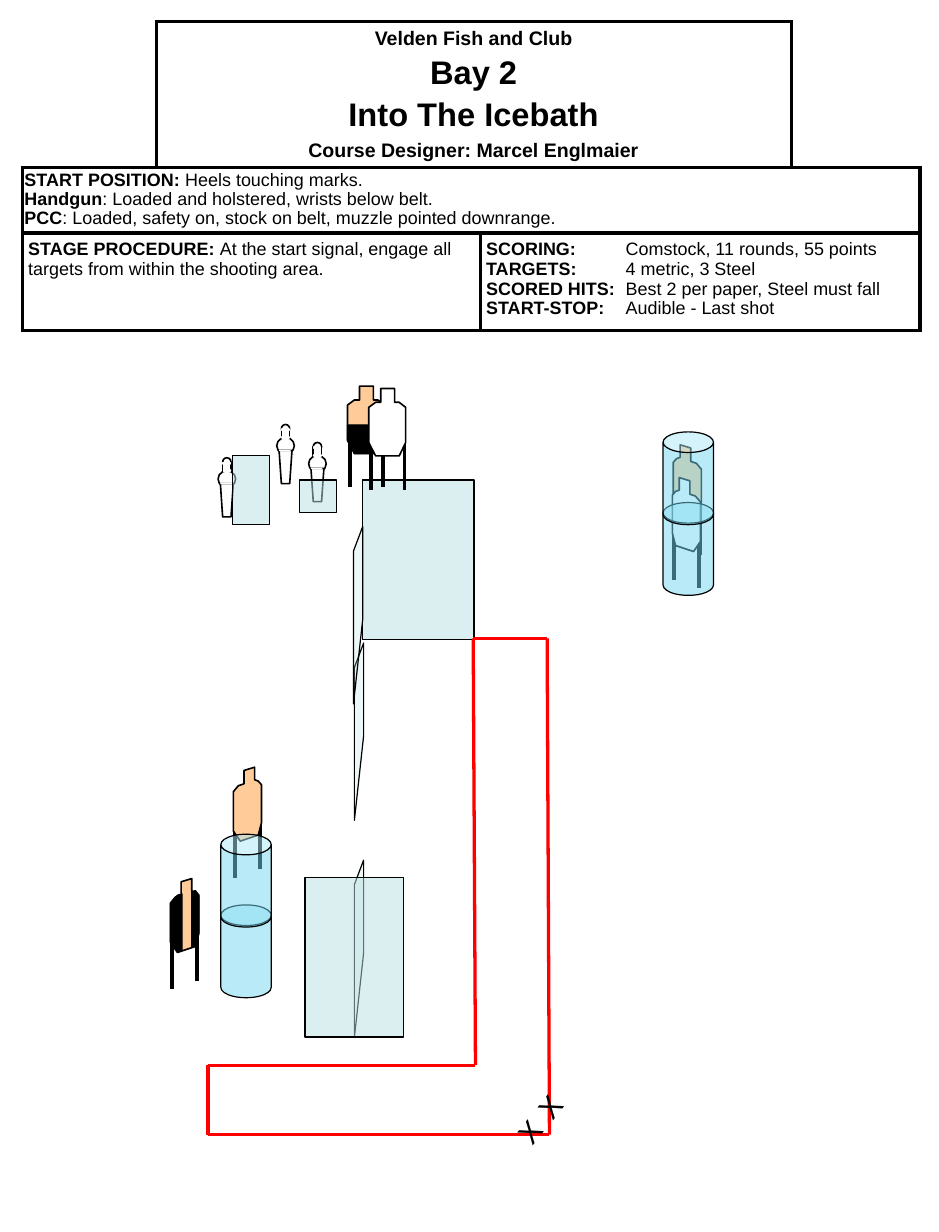
from dataclasses import dataclass

from lxml import etree
from pptx import Presentation
from pptx.dml.color import RGBColor
from pptx.enum.shapes import MSO_CONNECTOR, MSO_SHAPE
from pptx.enum.text import MSO_ANCHOR, PP_ALIGN
from pptx.oxml.ns import qn
from pptx.util import Cm, Pt

STRAIGHT = MSO_CONNECTOR.STRAIGHT
RECT, OVAL, CAN = MSO_SHAPE.RECTANGLE, MSO_SHAPE.OVAL, MSO_SHAPE.CAN
CENTER, LEFT = PP_ALIGN.CENTER, PP_ALIGN.LEFT
MIDDLE, TOP = MSO_ANCHOR.MIDDLE, MSO_ANCHOR.TOP


@dataclass(frozen=True)
class Theme:
    font: str = "Arial"
    black: str = "000000"
    white: str = "FFFFFF"
    red: str = "FF0000"
    tan: str = "FFCC99"
    glass: str = "BBE0E3"
    barrel: str = "73D9F1"
    title: float = 20
    mark: float = 18
    subtitle: float = 12
    body: float = 11
    border: float = 2.25
    fault: float = 2
    outline: float = 1
    thin: float = 0.75


T = Theme()

# Outlines in cm, relative to the top left corner of each target
SLANTED_WIDTH = 0.61
SLANTED = [(0.23, 0.07), (0.46, 0), (0.46, 0.27), (0.54, 0.3), (0.61, 0.38), (0.61, 1.2),
           (0.54, 1.47), (0.15, 1.6), (0, 1.38), (0, 0.53), (0.11, 0.4), (0.23, 0.36)]
SLANTED_LEGS = [(0.03, 1.29), (0.58, 1.11)]
HARD_COVER_SIDES = [
    [(0, 1.35), (0.15, 1.58), (0.25, 1.55), (0.25, 0.33), (0.15, 0.36), (0, 0.53)],
    [(0.46, 0.28), (0.54, 0.26), (0.62, 0.36), (0.62, 1.17), (0.55, 1.43), (0.46, 1.47)]]
UPRIGHT = [(0.26, 0), (0.56, 0), (0.56, 0.3), (0.66, 0.3), (0.8, 0.41), (0.8, 1.17),
           (0.66, 1.46), (0.15, 1.46), (0, 1.17), (0, 0.41), (0.15, 0.3), (0.26, 0.3)]
UPRIGHT_LEGS = [(0.05, 1.09), (0.77, 1.09)]
HARD_COVER_BASE = [(0, 0.84), (0.8, 0.84), (0.8, 1.17), (0.64, 1.46), (0.15, 1.46), (0, 1.17)]
LEG_LENGTH = 1.1
POPPER_BODY = [(0.05, 0.56), (0.33, 0.56), (0.28, 1.28), (0.1, 1.28)]
WALL = [(0.2, 2.01), (0, 3.84), (0, 0.53), (0.2, 0)]
SHOOTING_AREA = [(10.24, 13.82), (11.84, 13.82), (11.89, 24.56),
                 (4.5, 24.56), (4.5, 23.06), (10.29, 23.06)]

HEADER = [[("Velden Fish and Club", True, T.subtitle)], [("Bay 2", True, T.title)],
          [("Into The Icebath", True, T.title)],
          [("Course Designer: Marcel Englmaier", True, T.subtitle)]]
START = [[("START POSITION: ", True), ("Heels touching marks.", False)],
         [("Handgun", True), (": Loaded and holstered, wrists below belt.", False)],
         [("PCC", True),
          (": Loaded, safety on, stock on belt, muzzle pointed downrange.", False)]]
PROCEDURE = [[("STAGE PROCEDURE: ", True),
              ("At the start signal, engage all targets from within the shooting area.", False)]]
SCORING = [[(label, True), ("\t" + value, False)] for label, value in (
    ("SCORING:", "Comstock, 11 rounds, 55 points"), ("TARGETS:", "4 metric, 3 Steel"),
    ("SCORED HITS:", "Best 2 per paper, Steel must fall"),
    ("START-STOP:", "Audible - Last shot"))]


def rgb(value):
    return RGBColor.from_string(value)


def set_all(obj, **values):
    for name, value in values.items():
        setattr(obj, name, value)


def add_run(p, text, bold=False, size=T.body):
    r = p.add_run()
    r.text = text
    set_all(r.font, name=T.font, size=Pt(size), bold=bold)
    r.font.color.rgb = rgb(T.black)


def paint(sp, fill, line=T.black, width=T.outline, opacity=None):
    sp.shadow.inherit = False
    sp.fill.solid()
    sp.fill.fore_color.rgb = rgb(fill)
    if opacity:
        color = sp._element.spPr.find(qn("a:solidFill")).find(qn("a:srgbClr"))
        etree.SubElement(color, qn("a:alpha"), val=str(opacity * 1000))
    if line:
        sp.line.color.rgb = rgb(line)
        sp.line.width = Pt(width)
    else:
        sp.line.fill.background()


def add_preset(shapes, kind, x, y, w, h, **look):
    sp = shapes.add_shape(kind, Cm(x), Cm(y), Cm(w), Cm(h))
    paint(sp, **look)
    return sp


def add_outline(shapes, x, y, points, **look):
    points = [(Cm(x + dx), Cm(y + dy)) for dx, dy in points]
    builder = shapes.build_freeform(*points[0], scale=1.0)
    builder.add_line_segments(points[1:], close=True)
    paint(builder.convert_to_shape(), **look)


def add_line(shapes, start, end, color=T.black, width=T.border):
    cn = shapes.add_connector(STRAIGHT, *(Cm(v) for v in (*start, *end)))
    cn.line.color.rgb = rgb(color)
    cn.line.width = Pt(width)
    etree.SubElement(cn._element.spPr, qn("a:effectLst"))


def add_target(shapes, x, y, outline, legs, fill=T.tan, covers=()):
    group = shapes.add_group_shape().shapes
    for dx, dy in legs:
        add_line(group, (x + dx, y + dy), (x + dx, y + dy + LEG_LENGTH))
    add_outline(group, x, y, outline, fill=fill)
    for cover in covers:
        add_outline(group, x, y, cover, fill=T.black, width=0)


def mirrored(points):
    return [(SLANTED_WIDTH - x, y) for x, y in points]


def add_popper(shapes, x, y):
    group = shapes.add_group_shape().shapes
    add_preset(group, OVAL, x + 0.1, y, 0.18, 0.18, fill=T.white)
    add_preset(group, OVAL, x, y + 0.28, 0.38, 0.36, fill=T.white)
    add_outline(group, x, y, POPPER_BODY, fill=T.white)
    add_preset(group, RECT, x + 0.1, y + 0.1, 0.18, 0.18, fill=T.white)
    # White strips hide the seams between the parts
    for dx, dy, w, line in ((0.05, 0.55, 0.25, None), (0.12, 0.27, 0.15, T.white),
                            (0.11, 0.1, 0.15, T.white)):
        add_preset(group, RECT, x + dx, y + dy, w, 0.03, fill=T.white, line=line)


def add_barrel(shapes, x, y):
    """Two stacked cans, the upper one in front."""
    group = shapes.add_group_shape().shapes
    for top in (y + 1.53, y):
        sp = add_preset(group, CAN, x, top, 1.09, 2.01, fill=T.barrel, width=T.thin, opacity=50)
        sp.adjustments[0] = 0.41


def add_glass(shapes, x, y, w, h):
    add_preset(shapes, RECT, x, y, w, h, fill=T.glass, width=T.thin, opacity=50)


def add_wall(shapes, x, y):
    add_outline(shapes, x, y, WALL, fill=T.glass, width=T.thin, opacity=25)


def add_start_mark(shapes, x, y):
    box = shapes.add_textbox(Cm(x), Cm(y), Cm(0.79), Cm(1.02))
    box.rotation = 308.2
    box.text_frame.word_wrap = True
    add_run(box.text_frame.paragraphs[0], "X", size=T.mark)


def set_borders(cell, sides):
    tcPr = cell._tc.get_or_add_tcPr()
    for i, side in enumerate("LRTB"):
        ln = etree.Element(qn("a:ln" + side), w=str(Pt(T.border)))
        if side in sides:
            fill = etree.SubElement(ln, qn("a:solidFill"))
            etree.SubElement(fill, qn("a:srgbClr"), val=T.black)
        else:
            etree.SubElement(ln, qn("a:noFill"))
        tcPr.insert(i, ln)


def fill_cell(cell, paragraphs, inset=(0.13, 0.13), anchor=TOP, align=LEFT,
              before=0, spacing=None, tab=None):
    side, edge = (Cm(v) for v in inset)
    set_all(cell, margin_left=side, margin_right=side, margin_top=edge, margin_bottom=edge,
            vertical_anchor=anchor)
    tf = cell.text_frame
    for i, runs in enumerate(paragraphs):
        p = tf.add_paragraph() if i else tf.paragraphs[0]
        set_all(p, alignment=align, line_spacing=spacing, space_before=Pt(before if i else 0))
        if tab:
            tabs = etree.SubElement(p._p.get_or_add_pPr(), qn("a:tabLst"))
            etree.SubElement(tabs, qn("a:tab"), pos=str(Cm(tab)), algn="l")
        for run in runs:
            add_run(p, *run)


def add_briefing(shapes):
    widths, heights = (2.9, 7.01, 6.73, 2.79), (2.74, 0.94, 2.11)
    table = shapes.add_table(3, 4, Cm(0.48), Cm(0.46), Cm(sum(widths)), Cm(sum(heights))).table
    set_all(table, first_row=False, horz_banding=False)
    for column, width in zip(table.columns, widths):
        column.width = Cm(width)
    for row, height in zip(table.rows, heights):
        row.height = Cm(height)
    open_sides = {(0, 0): "RB", (0, 3): "LB"}
    for r in range(3):
        for c in range(4):
            cell = table.cell(r, c)
            cell.fill.solid()
            cell.fill.fore_color.rgb = rgb(T.white)
            set_borders(cell, open_sides.get((r, c), "LRTB"))
    for r, first, last, paragraphs, look in (
            (0, 1, 2, HEADER, dict(anchor=MIDDLE, align=CENTER, before=3.6)),
            (1, 0, 3, START, dict(inset=(0.05, 0.1), before=0.7, spacing=0.9)),
            (2, 0, 1, PROCEDURE, {}),
            (2, 2, 3, SCORING, dict(tab=3.02))):
        table.cell(r, first).merge(table.cell(r, last))
        fill_cell(table.cell(r, first), paragraphs, **look)


def main():
    prs = Presentation()
    set_all(prs, slide_width=Cm(20.32), slide_height=Cm(26.67))
    shapes = prs.slides.add_slide(prs.slide_layouts[6]).shapes

    add_briefing(shapes)
    add_wall(shapes, 7.67, 18.62)
    add_glass(shapes, 7.85, 10.39, 2.41, 3.45)
    add_glass(shapes, 6.6, 19, 2.13, 3.45)
    for start, end in zip(SHOOTING_AREA, SHOOTING_AREA[1:] + SHOOTING_AREA[:1]):
        add_line(shapes, start, end, T.red, T.fault)
    add_start_mark(shapes, 11.02, 24.05)
    add_start_mark(shapes, 11.46, 23.5)

    add_popper(shapes, 4.72, 9.91)
    add_target(shapes, 3.69, 19.02, SLANTED, SLANTED_LEGS, covers=HARD_COVER_SIDES)
    add_glass(shapes, 5.03, 9.86, 0.81, 1.5)
    add_popper(shapes, 5.99, 9.19)
    add_popper(shapes, 6.68, 9.58)
    add_glass(shapes, 6.48, 10.39, 0.81, 0.71)
    add_target(shapes, 5.05, 16.61, SLANTED, SLANTED_LEGS)
    add_barrel(shapes, 4.78, 18.06)
    for x, y, fill in ((14.57, 9.63, T.tan), (14.55, 10.34, T.white)):
        add_target(shapes, x, y, mirrored(SLANTED), mirrored(SLANTED_LEGS), fill)
    add_barrel(shapes, 14.35, 9.35)
    add_wall(shapes, 7.67, 13.92)
    add_wall(shapes, 7.65, 11.4)
    add_target(shapes, 7.52, 8.36, UPRIGHT, UPRIGHT_LEGS, covers=[HARD_COVER_BASE])
    add_target(shapes, 7.98, 8.41, UPRIGHT, UPRIGHT_LEGS, T.white)
    prs.save("out.pptx")


if __name__ == "__main__":
    main()
